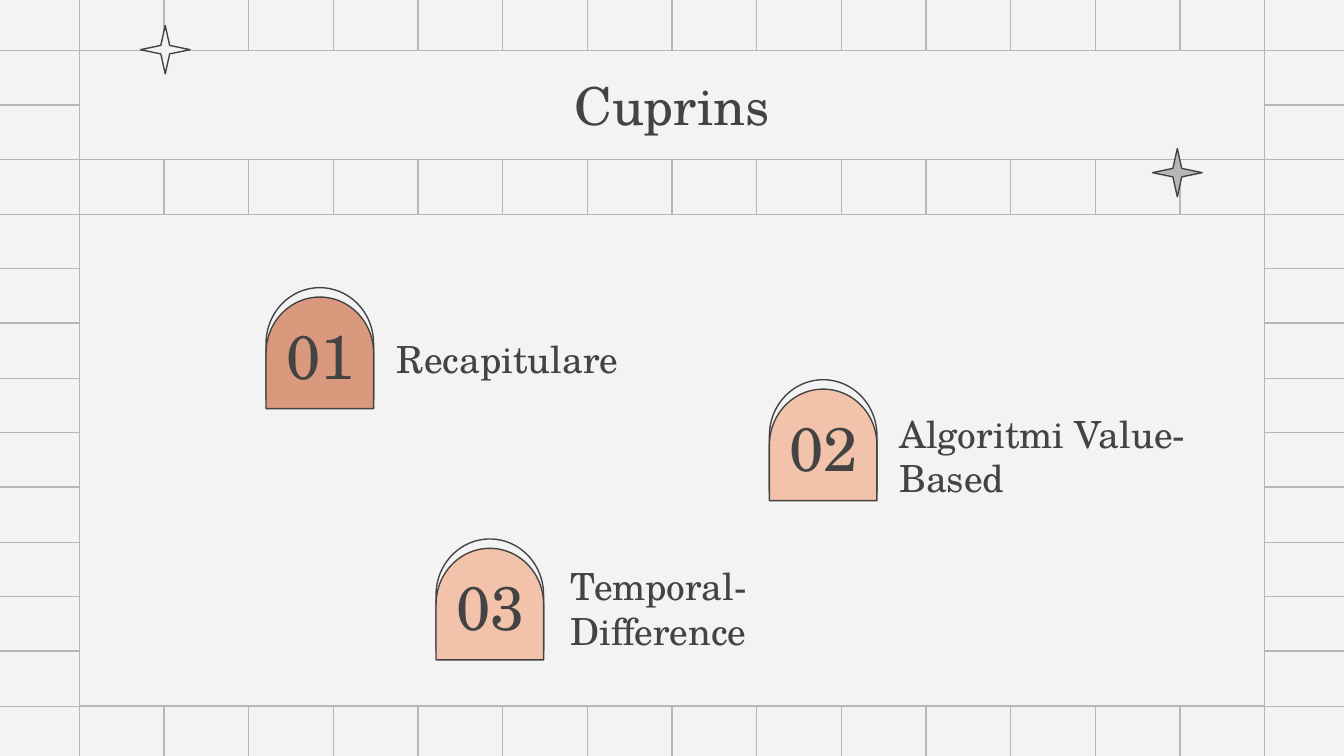
from itertools import product

from lxml.etree import SubElement
from pptx import Presentation
from pptx.dml.color import RGBColor
from pptx.enum.shapes import MSO_CONNECTOR as LINK, MSO_SHAPE as SHAPE
from pptx.enum.text import MSO_ANCHOR as ANCHOR, MSO_AUTO_SIZE as SIZE, PP_ALIGN as ALIGN
from pptx.oxml.ns import qn
from pptx.util import Pt

PX = 4572  # 200 px to the inch
WIDE, HIGH = 2000, 1125
FONT = "TeX Gyre Schola"
HUES = {
    "paper": "F3F3F3",
    "grid": "B7B7B7",
    "ink": "434343",
    "clay": "D9997D",
    "peach": "F2C2AB",
}


def hue(name):
    return RGBColor.from_string(HUES[name])


def write(shape, text, size=20, align=ALIGN.LEFT, after=0):
    frame = shape.text_frame
    frame.text = text
    frame.word_wrap = True
    frame.auto_size = SIZE.NONE
    frame.vertical_anchor = ANCHOR.MIDDLE
    frame.margin_left = frame.margin_right = 20 * PX
    frame.margin_top = frame.margin_bottom = 20 * PX
    para = frame.paragraphs[0]
    para.alignment = align
    para.space_before, para.space_after = Pt(0), Pt(after)
    font = para.runs[0].font
    font.name, font.size, font.bold = FONT, Pt(size), False
    font.color.rgb = hue("ink")


class Page:
    def __init__(self, slide):
        self.slide = slide
        self.shapes = slide.shapes
        slide.background.fill.solid()
        slide.background.fill.fore_color.rgb = hue("paper")

    def paint(self, shape, fill, line):
        shape.fill.solid()
        shape.fill.fore_color.rgb = hue(fill)
        shape.line.color.rgb = hue(line)
        shape.line.width = Pt(0.75)

    def rule(self, *ends):
        link = self.shapes.add_connector(LINK.STRAIGHT, *(v * PX for v in ends))
        link.line.color.rgb = hue("grid")
        link.line.width = Pt(0.75)
        SubElement(link.element.spPr, qn("a:effectLst"))

    def form(self, kind, box, fill, line="ink", turn=0):
        shape = self.shapes.add_shape(kind, *(v * PX for v in box))
        shape.shadow.inherit = False
        shape.rotation = turn
        self.paint(shape, fill, line)
        return shape

    def star(self, x, y, fill):
        self.form(SHAPE.STAR_4_POINT, (x, y, 74, 72), fill).adjustments[0] = 0.125

    def arch(self, x, y, fill):
        for drop, tint in ((0, "paper"), (14, fill)):
            self.form(SHAPE.FLOWCHART_DELAY, (x, y + drop, 166, 160), tint, turn=270)

    def text(self, box, words, **style):
        write(self.shapes.add_textbox(*(v * PX for v in box)), words, **style)

    def hold(self, holder, box, words, **style):
        """Move a placeholder into its box, in front of what is drawn so far."""
        self.shapes.element.append(holder.element)
        holder.left, holder.top, holder.width, holder.height = (v * PX for v in box)
        write(holder, words, **style)


def main():
    deck = Presentation()
    deck.slide_width, deck.slide_height = WIDE * PX, HIGH * PX
    page = Page(deck.slides.add_slide(deck.slide_layouts[4]))
    slots = {s.placeholder_format.idx: s for s in page.slide.placeholders}

    # Grid, in four quarters
    cols = [118 + 126 * i for i in range(15)]
    rows = [round(74.6 + 81.33 * i) for i in range(13)]
    for x, (top, end) in product(cols, ((0, 563), (563, HIGH))):
        page.rule(x, top, x, end)
    for y, (left, end) in product(rows, ((0, 1000), (1000, WIDE))):
        page.rule(left, y, end, y)

    # Panel and title
    page.form(SHAPE.RECTANGLE, (118, 319, 1764, 732), "paper", "grid")
    title = slots[0]
    page.hold(title, (118, 75, 1764, 162), "Cuprins", size=28, align=ALIGN.CENTER)
    page.paint(title, "paper", "grid")

    # Stars
    page.star(1715, 221, "grid")
    page.star(209, 38, "paper")

    # Numbered items: arch place and fill, label, label box, slot
    items = (
        (393, 431, "clay", "Recapitulare", (570, 494, 642, 80), 1),
        (1142, 568, "peach", "Algoritmi Value-Based", (1318, 638, 486, 80), 3),
        (646, 805, "peach", "Temporal-Difference", (829, 865, 426, 80), None),
    )
    for num, (x, y, fill, label, box, slot) in enumerate(items, 1):
        page.arch(x, y, fill)
        page.text((x - 9, y + 44, 186, 106), f"{num:02}", size=33, align=ALIGN.CENTER)
        if slot:
            page.hold(slots[slot], box, label, after=12)
        else:
            page.text(box, label, after=12)

    # Unused placeholders
    for slot in (2, 4):
        page.shapes.element.remove(slots[slot].element)

    deck.save("out.pptx")


if __name__ == "__main__":
    main()
